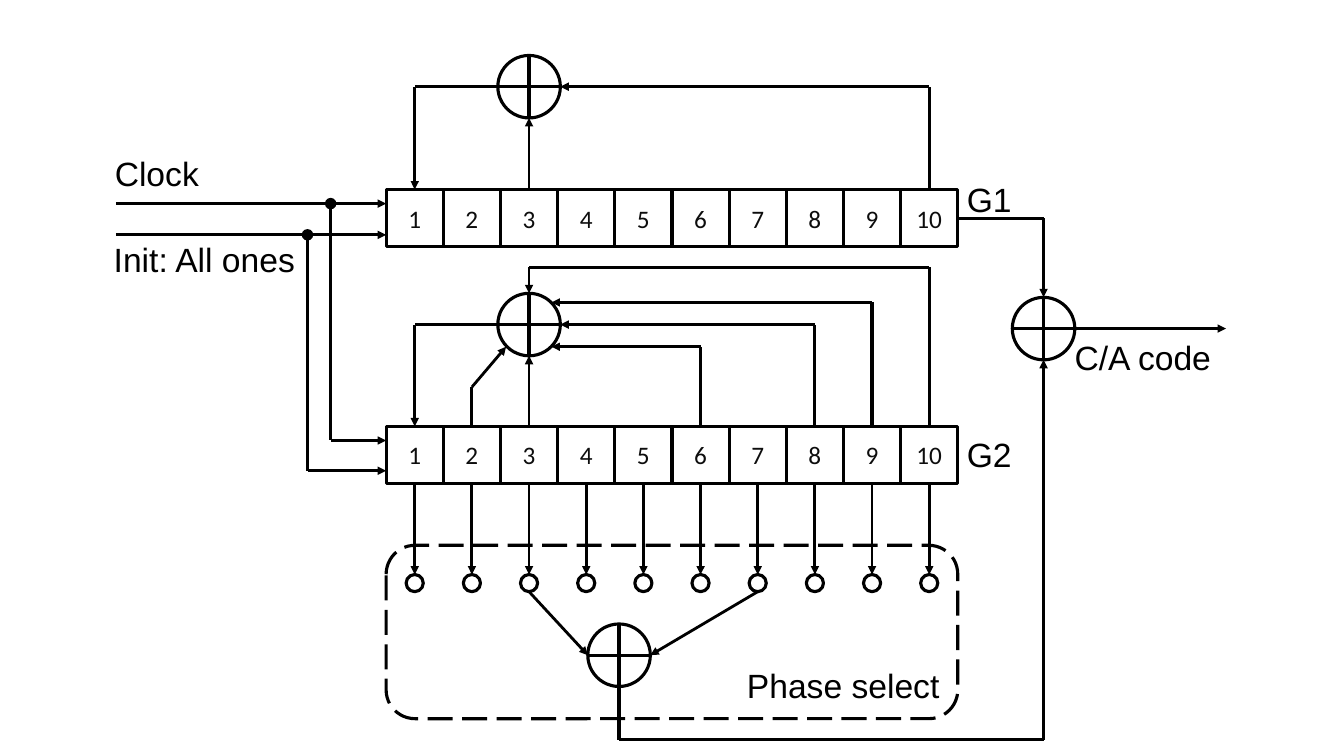
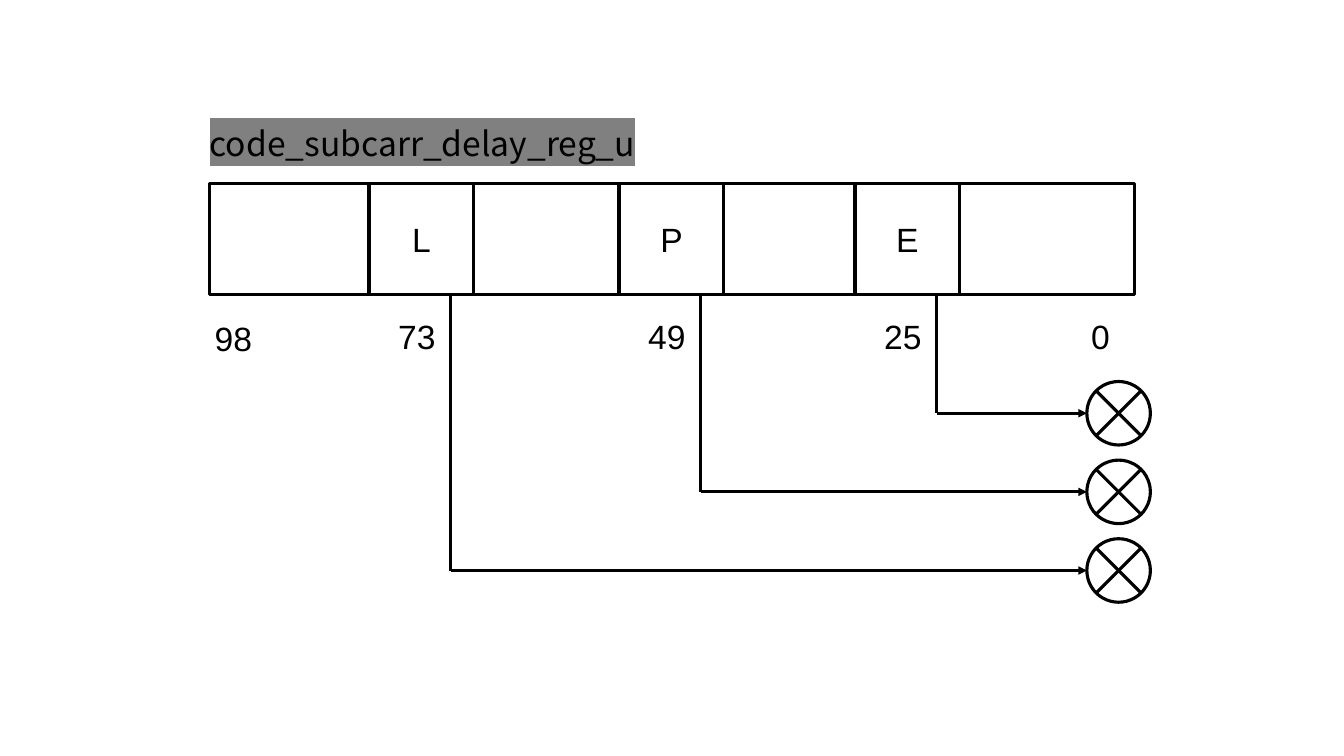
import dataclasses

import lxml.etree
import pptx
import pptx.dml.color
import pptx.enum.dml
import pptx.enum.shapes
import pptx.enum.text
import pptx.oxml.ns
import pptx.util


@dataclasses.dataclass(frozen=True)
class Theme:
    ink: str = "000000"
    digit: str = "0D0D0D"
    marker: str = "808080"
    font: str = "Arial"
    digit_font: str = "Calibri"
    signal_font: str = "Noto Sans CJK SC"
    size: int = 24
    digit_size: int = 18
    line: float = 2.25
    arrow: float = 2
    dot_line: float = 1


T = Theme()
SHAPE = pptx.enum.shapes.MSO_SHAPE
ALIGN = pptx.enum.text.PP_ALIGN
ANCHOR = pptx.enum.text.MSO_ANCHOR
RGB = pptx.dml.color.RGBColor.from_string
qn = pptx.oxml.ns.qn
TOP, LEFT, BOTTOM, RIGHT = range(4)


def block(s, kind, x, y, w, h, text="", font=T.font, size=T.size, color=T.ink,
          align=ALIGN.CENTER, anchor=ANCHOR.MIDDLE):
    """Add an outlined shape, or a plain text box when kind is None."""
    box = [pptx.util.Inches(v) for v in (x, y, w, h)]
    if kind is None:
        sp = s.shapes.add_textbox(*box)
    else:
        sp = s.shapes.add_shape(kind, *box)
        sp.shadow.inherit = False
        sp.fill.background()
        sp.line.color.rgb = RGB(T.ink)
        sp.line.width = pptx.util.Pt(T.line)
    if text:
        tf = sp.text_frame
        tf.word_wrap = True
        tf.vertical_anchor = anchor
        p = tf.paragraphs[0]
        p.alignment = align
        r = p.add_run()
        r.text = text
        r.font.name = font
        r.font.size = pptx.util.Pt(size)
        r.font.color.rgb = RGB(color)
    return sp


def wire(s, *points, start=None, end=None):
    """Run straight segments through the points, with an arrowhead on the last."""
    last = len(points) - 2
    for i, (a, b) in enumerate(zip(points, points[1:])):
        cxn = s.shapes.add_connector(pptx.enum.shapes.MSO_CONNECTOR.STRAIGHT,
                                     *[pptx.util.Inches(v) for v in a + b])
        cxn.line.color.rgb = RGB(T.ink)
        cxn.line.width = pptx.util.Pt(T.arrow if i == last else T.line)
        if i == 0 and start:
            cxn.begin_connect(*start)
        if i == last:
            if end:
                cxn.end_connect(*end)
            lxml.etree.SubElement(cxn.line._get_or_add_ln(), qn("a:tailEnd"), type="triangle")
        lxml.etree.SubElement(cxn._element.spPr, qn("a:effectLst"))


prs = pptx.Presentation()
prs.slide_width = pptx.util.Inches(13.33)
prs.slide_height = pptx.util.Inches(7.5)
blank = prs.slide_layouts[6]

# Slide 1: C/A code generator
s = prs.slides.add_slide(blank)
REG_X, CELL, STAGES = 3.83, 0.567, 10
G1_Y, G2_Y = 1.88, 4.23
ADDER = 0.62
RADIUS = ADDER / 2
col = [REG_X + CELL * (i - 0.5) for i in range(STAGES + 1)]  # centre of stage i

# Shift registers
g1, g2 = {}, {}
for cells, y in ((g1, G1_Y), (g2, G2_Y)):
    for n in range(1, STAGES + 1):
        cells[n] = block(s, SHAPE.RECTANGLE, REG_X + CELL * (n - 1), y, CELL, CELL, str(n),
                         T.digit_font, T.digit_size, T.digit)

# Modulo-2 adders
FB1_Y, FB2_Y = 0.86, 3.22
OUT_X, OUT_Y = 10.35, 3.26
SEL_X, SEL_Y = 6.14, 6.5
for x, y in ((col[3], FB1_Y), (col[3], FB2_Y), (OUT_X, OUT_Y), (SEL_X, SEL_Y)):
    block(s, SHAPE.FLOWCHART_OR, x - RADIUS, y - RADIUS, ADDER, ADDER)

# Feedback common to both registers
for cells, reg_y, y in ((g1, G1_Y, FB1_Y), (g2, G2_Y, FB2_Y)):
    wire(s, (col[3] - RADIUS, y), (col[1], y), (col[1], reg_y), end=(cells[1], TOP))
    wire(s, (col[3], reg_y), (col[3], y + RADIUS), start=(cells[3], TOP))

# Remaining feedback taps
wire(s, (col[10], G1_Y), (col[10], FB1_Y), (col[3] + RADIUS, FB1_Y), start=(g1[10], TOP))
wire(s, (col[2], G2_Y), (col[2], 3.84), (5.02, 3.44), start=(g2[2], TOP))
for n, y, x in ((6, 3.44, 5.47), (8, FB2_Y, col[3] + RADIUS), (9, 3.0, 5.47)):
    wire(s, (col[n], G2_Y), (col[n], y), (x, y), start=(g2[n], TOP))
wire(s, (col[10], G2_Y), (col[10], 2.65), (col[3], 2.65), (col[3], FB2_Y - RADIUS),
     start=(g2[10], TOP))

# Phase selector
PIN, PIN_Y = 0.17, 5.7
for n in range(1, STAGES + 1):
    wire(s, (col[n], G2_Y + CELL), (col[n], PIN_Y), start=(g2[n], BOTTOM))
    block(s, SHAPE.OVAL, col[n] - PIN / 2, PIN_Y, PIN, PIN)
for n, side in ((3, -1), (7, 1)):
    wire(s, (col[n], PIN_Y + PIN), (SEL_X + side * RADIUS, SEL_Y))
frame = block(s, SHAPE.ROUNDED_RECTANGLE, REG_X, 5.41, CELL * STAGES, 1.72, "Phase select",
              align=ALIGN.RIGHT, anchor=ANCHOR.BOTTOM)
frame.line.dash_style = pptx.enum.dml.MSO_LINE.LONG_DASH

# Output
wire(s, (SEL_X, SEL_Y + RADIUS), (SEL_X, 7.34), (OUT_X, 7.34), (OUT_X, OUT_Y + RADIUS))
wire(s, (REG_X + CELL * STAGES, G1_Y + CELL / 2), (OUT_X, G1_Y + CELL / 2),
     (OUT_X, OUT_Y - RADIUS), start=(g1[10], RIGHT))
wire(s, (OUT_X + RADIUS, OUT_Y), (12.16, OUT_Y))

# Clock and init inputs, branching to both registers
DOT = 0.1
for y, branch_x, g2_y in ((2.02, 3.28, 4.37), (2.33, 3.05, 4.67)):
    wire(s, (1.15, y), (REG_X, y))
    wire(s, (branch_x, y), (branch_x, g2_y), (REG_X, g2_y))
    dot = block(s, SHAPE.OVAL, branch_x - DOT / 2, y - DOT / 2, DOT, DOT)
    dot.fill.solid()
    dot.fill.fore_color.rgb = RGB(T.ink)
    dot.line.width = pptx.util.Pt(T.dot_line)

# Labels
for text, x, y, w in (("Clock", 1.04, 1.47, 1.73), ("Init: All ones", 1.03, 2.32, 2.03),
                      ("C/A code", 10.56, 3.29, 1.73),
                      ("G1", 9.49, 1.73, 0.78), ("G2", 9.49, 4.26, 0.78)):
    block(s, None, x, y, w, 0.48, text, align=ALIGN.LEFT, anchor=ANCHOR.TOP)

# Slide 2: delay register with late, prompt and early taps
s = prs.slides.add_slide(blank)
BAR_Y, BAR_H = 1.82, 1.1
BAR_END = BAR_Y + BAR_H
MIXER, MIXER_X = 0.63, 10.78
block(s, SHAPE.RECTANGLE, 2.08, BAR_Y, 9.17, BAR_H)

# Highlighted register name
sp = block(s, None, 1.98, 1.17, 4.77, 0.5, "code_subcarr_delay_reg_u", T.signal_font,
           align=ALIGN.LEFT, anchor=ANCHOR.TOP)
rPr = sp.text_frame.paragraphs[0].runs[0].font._element
highlight = lxml.etree.Element(qn("a:highlight"))
lxml.etree.SubElement(highlight, qn("a:srgbClr"), val=T.marker)
rPr.find(qn("a:solidFill")).addnext(highlight)

# Bit numbers at the register ends
for text, x, y in (("98", 1.98, 2.94), ("0", 10.58, BAR_END)):
    block(s, None, x, y, 0.67, 0.83, text)

# Taps, each leading to its mixer
for i, (name, bit, x) in enumerate((("E", "25", 8.48), ("P", "49", 6.14), ("L", "73", 3.66))):
    y = 4.1 + 0.78 * i
    block(s, SHAPE.RECTANGLE, x, BAR_Y, 1.04, BAR_H, name)
    block(s, None, x + 0.14, BAR_END, 0.67, 0.83, bit)
    block(s, SHAPE.FLOWCHART_SUMMING_JUNCTION, MIXER_X, y - MIXER / 2, MIXER, MIXER)
    wire(s, (x + 0.81, BAR_END), (x + 0.81, y), (MIXER_X, y))

prs.save("out.pptx")
